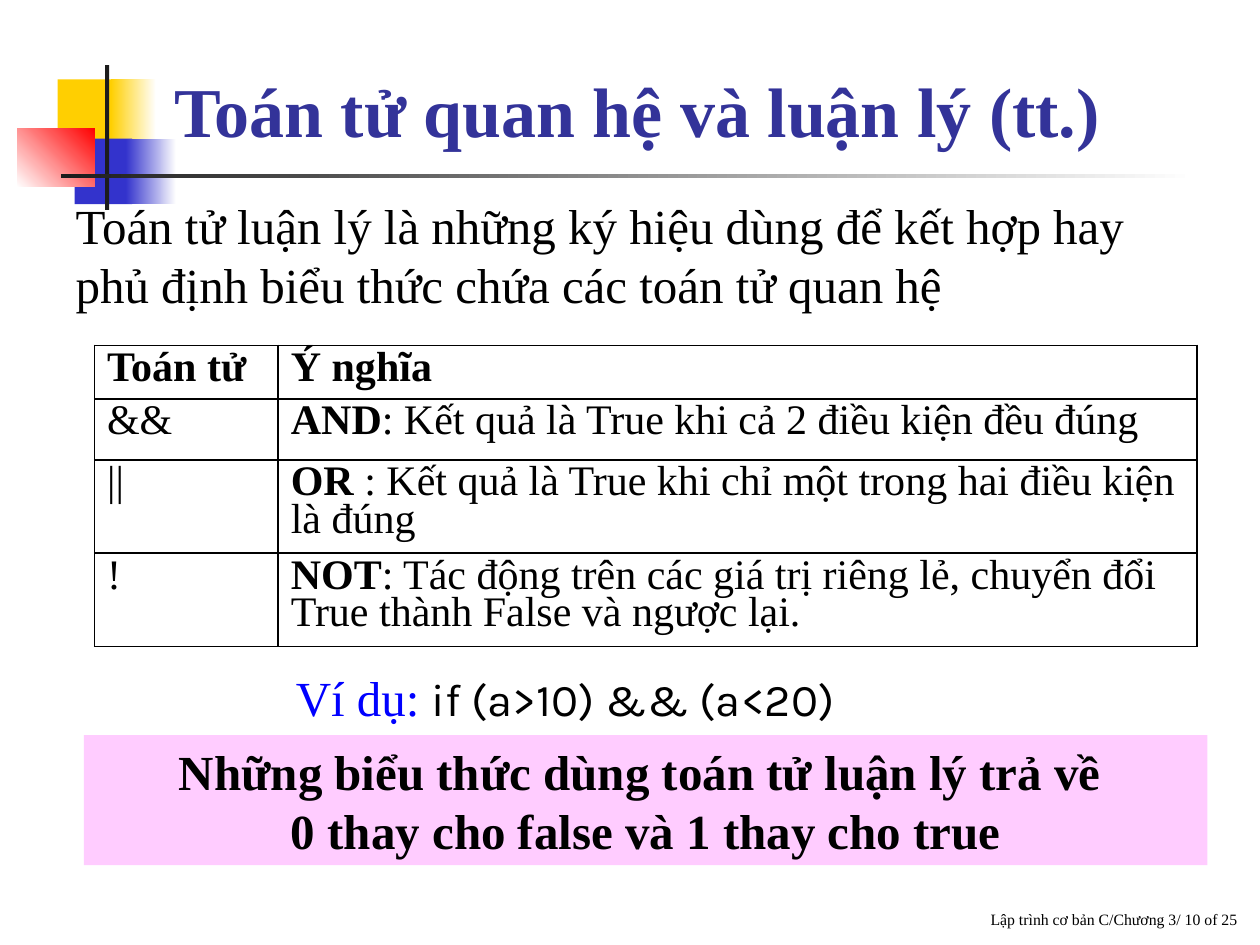
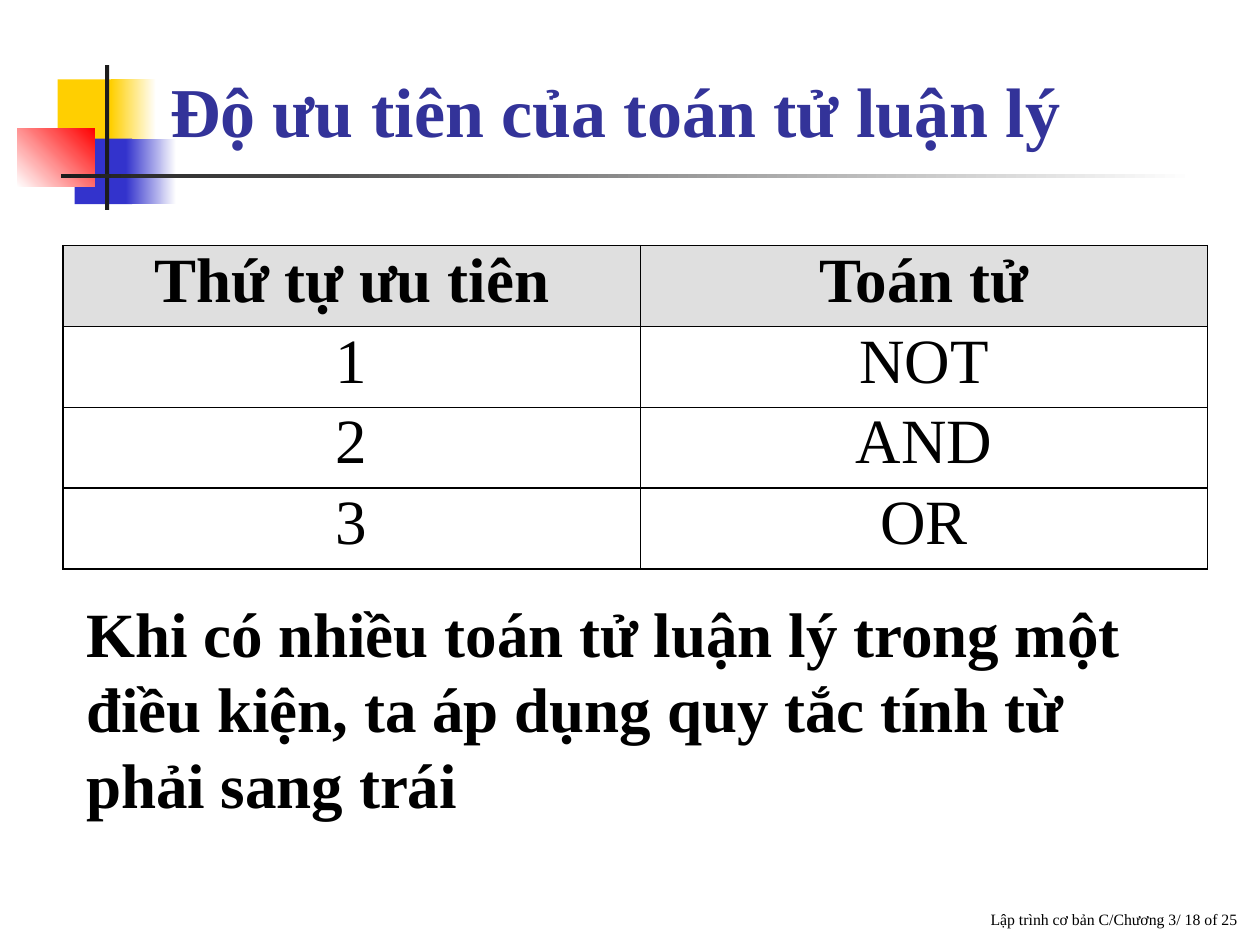
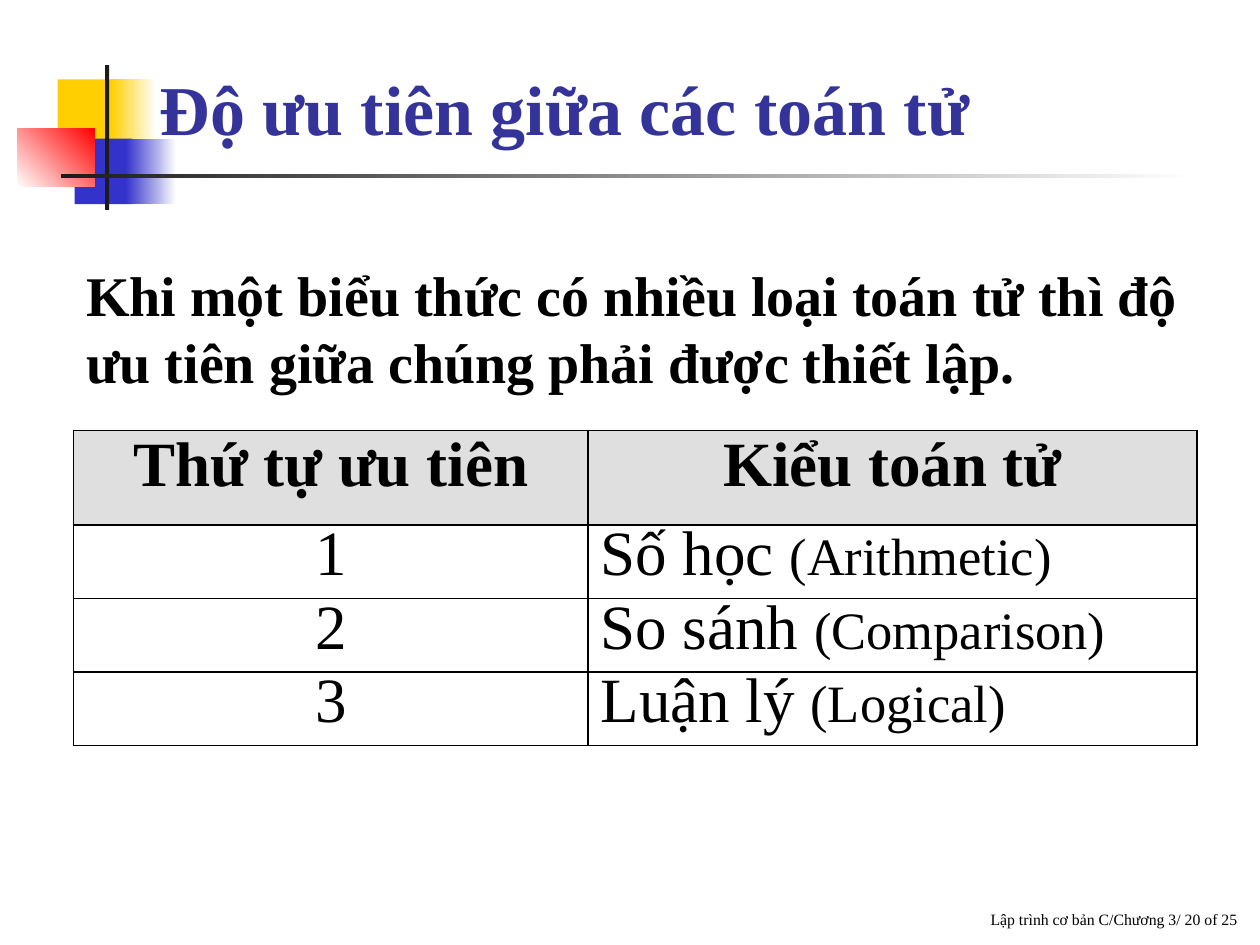
from pptx import Presentation
from pptx.dml.color import RGBColor as Rgb
from pptx.enum.shapes import MSO_SHAPE as Kind
from pptx.enum.text import MSO_ANCHOR as Anchor, MSO_AUTO_SIZE as Fit, PP_ALIGN as Align
from pptx.oxml.ns import qn
from pptx.util import Inches, Pt
from lxml.etree import SubElement as Sub

HUES = {
    "ink": "000000", "title": "333399", "link": "0000FF", "pink": "FFCCFF",
    "head": "DFDFDF", "gold": "FFCF01", "blue": "3333CC", "red": "FF0000",
    "dark": "1C1C1C", "white": "FFFFFF",
}
COLS, ROWS = 120, 90
WIDE, HIGH = Inches(10), Inches(7.5)
FONT = "Times New Roman"
BANDS = [
    ((5.5, 7.56, 5.8, 6.24), "gold", None, 0),
    ((10.56, 7.56, 4.32, 6.24), "gold", "white", 0),
    ((7.1, 13.2, 5.5, 6.24), "blue", None, 0),
    ((12, 13.2, 4.8, 6.24), "blue", "white", 0),
    ((1.65, 12.2, 7.4, 5.6), "white", "red", 45),
    ((10, 6.2, 0.4, 13.8), "dark", None, 0),
    ((5.8, 16.6, 108, 0.4), "dark", "white", 0),
]


def hue(name):
    """Return the named colour."""
    return Rgb.from_string(HUES[name])


def across(cols):
    """Return the width of a number of grid columns."""
    return round(WIDE * cols / COLS)


def down(rows):
    """Return the height of a number of grid rows."""
    return round(HIGH * rows / ROWS)


def place(box):
    """Return a grid box as left, top, width and height."""
    x, y, w, h = box
    return across(x), down(y), across(w), down(h)


def write(frame, runs, align=Align.LEFT, anchor=None, lead=None, **base):
    """Fill a text frame with runs, each a string or a (string, format) pair."""
    para = frame.paragraphs[0]
    para.alignment, para.space_before = align, Pt(0)
    if lead:
        para.line_spacing = lead
    if anchor is not None:
        frame.vertical_anchor = anchor
    for item in [runs] if isinstance(runs, str) else runs:
        text, extra = (item, {}) if isinstance(item, str) else item
        look = {"size": 28, "tint": "ink", "bold": False, "face": FONT, **base, **extra}
        for i, line in enumerate(text.split("\n")):
            if i:
                para.add_line_break()
            run = para.add_run()
            run.text = line
            font = run.font
            font.name, font.size, font.bold = look["face"], Pt(look["size"]), look["bold"]
            font.color.rgb = hue(look["tint"])
    return para


class Deck:
    """Hold the style and the current slide."""

    def __init__(self):
        """Start a deck and set its bands on the master."""
        self.prs = Presentation()
        self.prs.slide_width, self.prs.slide_height = WIDE, HIGH
        self.slide = None

    def page(self, title, box, number):
        """Add a slide with its title and footer."""
        first = self.slide is None
        self.slide = self.prs.slides.add_slide(self.prs.slide_layouts[1])
        if first:
            self.bands()
        self.hold(self.slide.shapes.title, box, title, anchor=Anchor.BOTTOM,
                  size=40, tint="title", bold=True)
        self.note((46, 83, 73, 6), f"Lập trình cơ bản C/Chương 3/ {number} of 25",
                  align=Align.RIGHT, anchor=Anchor.BOTTOM, size=9)

    def bands(self):
        """Draw the shared bands and move them to the master."""
        tree = self.prs.slide_master.shapes.element
        for i, (box, start, end, angle) in enumerate(BANDS):
            part = self.rect(box, start, end, angle).element
            part.nvSpPr.cNvPr.id = 20 + i
            tree.append(part)

    def rect(self, box, start, end=None, angle=0):
        """Add a plain or shaded rectangle."""
        shape = self.slide.shapes.add_shape(Kind.RECTANGLE, *place(box))
        shape.shadow.inherit = False
        shape.line.fill.background()
        if end:
            shape.fill.gradient()
            shape.fill.gradient_angle = angle
            for stop, name in zip(shape.fill.gradient_stops, (start, end)):
                stop.color.rgb = hue(name)
        else:
            shape.fill.solid()
            shape.fill.fore_color.rgb = hue(start)
        return shape

    def hold(self, shape, box, runs, **look):
        """Move a placeholder and write in it."""
        shape.left, shape.top, shape.width, shape.height = place(box)
        shape.text_frame.auto_size = Fit.NONE
        return write(shape.text_frame, runs, **look)

    def body(self, box, runs, **look):
        """Write the body text without a bullet."""
        para = self.hold(self.slide.placeholders[1], box, runs, **look)
        props = para._p.get_or_add_pPr()
        props.set("marL", "0")
        props.set("indent", "0")
        Sub(props, qn("a:buNone"))

    def note(self, box, runs, **look):
        """Add a text box."""
        frame = self.slide.shapes.add_textbox(*place(box)).text_frame
        frame.word_wrap = True
        write(frame, runs, **look)

    def panel(self, box, runs, **look):
        """Add a filled panel with text."""
        frame = self.rect(box, "pink").text_frame
        frame.word_wrap = True
        write(frame, runs, anchor=Anchor.TOP, **look)

    def table(self, spot, cols, rows, cells, size, leads, heads, sides, shade=None):
        """Add a ruled table with a bold head row and an alignment per column."""
        box = (*spot, sum(cols), sum(rows))
        grid = self.slide.shapes.add_table(len(rows), len(cols), *place(box)).table
        grid.first_row = grid.horz_banding = False
        for col, width in zip(grid.columns, cols):
            col.width = across(width)
        for r, (line, height) in enumerate(zip(cells, rows)):
            grid.rows[r].height = down(height)
            for c, runs in enumerate(line):
                cell = grid.cell(r, c)
                self.rule(cell)
                if shade and not r:
                    cell.fill.solid()
                    cell.fill.fore_color.rgb = hue(shade)
                else:
                    cell.fill.background()
                write(cell.text_frame, runs, size=size, bold=not r,
                      align=sides[c] if r else heads, lead=leads[min(r, 1)])

    def rule(self, cell):
        """Draw the four borders of a cell."""
        props = cell._tc.get_or_add_tcPr()
        for side in "LRTB":
            line = Sub(props, qn(f"a:ln{side}"), w=str(Pt(1)))
            fill = Sub(line, qn("a:solidFill"))
            Sub(fill, qn("a:srgbClr"), val=HUES["ink"])


def main():
    """Build the three slides."""
    deck = Deck()
    mid, left = Align.CENTER, Align.LEFT
    strong = {"bold": True}
    small = {"size": 30}

    deck.page("Toán tử quan hệ và luận lý (tt.)", (15.4, 5, 101.6, 10), 10)
    deck.body((6, 18, 109, 12.4), "Toán tử luận lý là những ký hiệu dùng để kết hợp hay "
              "phủ định biểu thức chứa các toán tử quan hệ", anchor=Anchor.TOP)
    deck.panel((8, 70, 107, 12.4), "Những biểu thức dùng toán tử luận lý trả về \n"
               "0 thay cho false và 1 thay cho true", align=mid, bold=True)
    deck.note((27, 63, 61, 6.8), [("Ví dụ: ", {"tint": "link"}),
              ("if (a>10) && (a<20)", {"size": 26, "face": "Karla"})])
    deck.table((9, 32.9), (17.5, 87.5), (5.1, 5.8, 8.85, 8.85), [
        ("Toán tử", "Ý nghĩa"),
        ("&&", [("AND", strong), ": Kết quả là True khi cả 2 điều kiện đều đúng"]),
        ("||", [("OR", strong),
                " : Kết quả là True khi chỉ một trong hai điều kiện là đúng"]),
        ("!", [("NOT", strong), ": Tác động trên các giá trị riêng lẻ, chuyển đổi "
               "True thành False và ngược lại."]),
    ], 24, (0.8, 0.8), Align.JUSTIFY, (left, left))

    deck.page("Độ ưu tiên của toán tử luận lý", (15, 5, 98, 10), 18)
    deck.table((6, 23.4), (55, 54), [7.7] * 4, [
        ("Thứ tự ưu tiên", "Toán tử"), ("1", "NOT"), ("2", "AND"), ("3", "OR"),
    ], 36, (0.9, 0.9), mid, (mid, mid), "head")
    deck.body((7, 56, 106, 22.8), "Khi có nhiều toán tử luận lý trong một điều kiện, "
              "ta áp dụng quy tắc tính từ phải sang trái",
              anchor=Anchor.MIDDLE, size=36, bold=True)

    deck.page("Độ ưu tiên giữa các toán tử", (14, 4, 100, 10.8), 20)
    deck.table((7, 41), (49, 58), (9, 7, 7, 7), [
        ("Thứ tự ưu tiên", "Kiểu toán tử"),
        ("1", ["Số học ", ("(Arithmetic)", small)]),
        ("2", ["So sánh ", ("(Comparison)", small)]),
        ("3", ["Luận lý ", ("(Logical)", small)]),
    ], 36, (0.9, 0.8), mid, (mid, left), "head")
    deck.body((7, 24.2, 109, 14), "Khi một biểu thức có nhiều loại toán tử thì độ ưu tiên "
              "giữa chúng phải được thiết lập.", anchor=Anchor.MIDDLE, size=32, bold=True)

    deck.prs.save("out.pptx")


if __name__ == "__main__":
    main()
